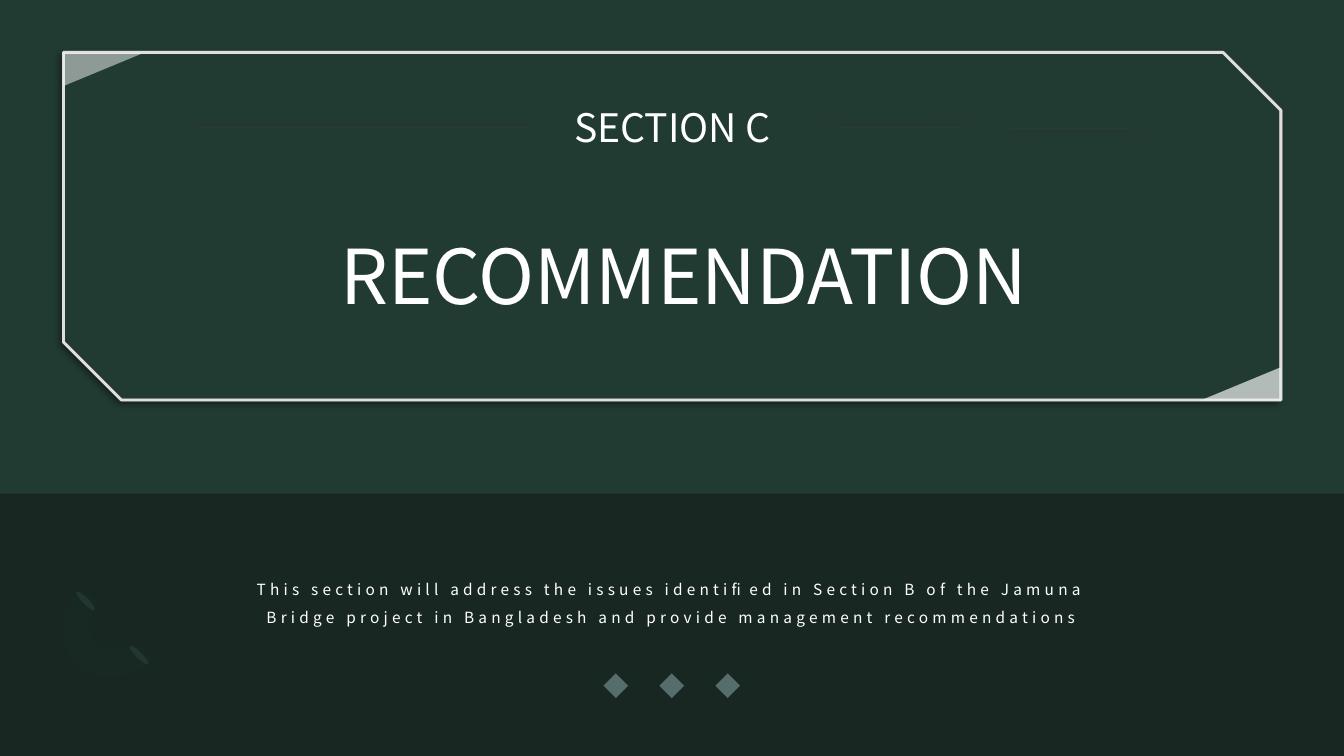
from lxml import etree
from pptx import Presentation
from pptx.dml.color import RGBColor
from pptx.enum.shapes import MSO_CONNECTOR, MSO_SHAPE
from pptx.enum.text import MSO_AUTO_SIZE, PP_ALIGN
from pptx.oxml import parse_xml
from pptx.oxml.ns import nsdecls, qn
from pptx.util import Cm, Pt

GREEN = RGBColor(0x21, 0x3B, 0x32)
LEAF = RGBColor(0x30, 0x56, 0x49)
MINT = RGBColor(0x79, 0xB4, 0xA0)
BLACK = RGBColor(0x0D, 0x0D, 0x0D)
TEAL = RGBColor(0x93, 0xB5, 0xB7)
TAUPE = RGBColor(0xAE, 0xA2, 0xA0)
PALE = RGBColor(0xF2, 0xF2, 0xF2)
OLIVE = RGBColor(0x32, 0x3A, 0x2E)
WHITE = RGBColor(0xFF, 0xFF, 0xFF)

FRAME_BOX = (1.6, 1.32, 30.68, 8.76)
ARC_START = (1.93, 16.74)
# Each step is a curve (three points) or a straight line (one point), in cm
ARC_STEPS = [
    [(1.42, 16.23), (1.47, 15.37), (2.06, 14.78)],
    [(2.51, 15.24)],
    [(2.21, 15.52), (2.18, 15.98), (2.44, 16.21)],
    [(2.69, 16.46), (3.12, 16.43), (3.43, 16.15)],
    [(3.86, 16.61)],
    [(3.3, 17.17), (2.41, 17.25), (1.93, 16.74)],
]
SHADOW = (
    f'<a:effectLst {nsdecls("a")}><a:outerShdw blurRad="50800" dist="38100" '
    'dir="8100000" algn="tr" rotWithShape="0"><a:srgbClr val="000000">'
    '<a:alpha val="40000"/></a:srgbClr></a:outerShdw></a:effectLst>'
)


def bezier(p0, p1, p2, p3, steps=10):
    """Points along a cubic curve, without its start."""
    for i in range(1, steps + 1):
        t = i / steps
        u = 1 - t
        yield tuple(u**3 * a + 3 * u * u * t * b + 3 * u * t * t * c + t**3 * d
                    for a, b, c, d in zip(p0, p1, p2, p3))


class SlideBuilder:
    font = "Noto Sans CJK SC"

    def __init__(self, slide):
        self.s = slide

    def background(self, color):
        fill = self.s.background.fill
        fill.solid()
        fill.fore_color.rgb = color

    def paint(self, fill, color, opacity=100):
        fill.solid()
        fill.fore_color.rgb = color
        if opacity < 100:
            clr = fill._xPr.find(qn("a:solidFill"))[0]
            etree.SubElement(clr, qn("a:alpha"), val=str(opacity * 1000))

    def dress(self, sp, fill=None, line=None, rotation=0):
        """Apply fill and line, each given as (color, opacity) or None."""
        sp.shadow.inherit = False
        sp.rotation = rotation
        if fill:
            self.paint(sp.fill, *fill)
        else:
            sp.fill.background()
        if line:
            sp.line.width = Pt(2)
            self.paint(sp.line.fill, *line)
        else:
            sp.line.fill.background()
        return sp

    def shape(self, kind, box, **style):
        sp = self.s.shapes.add_shape(kind, *(Cm(v) for v in box))
        return self.dress(sp, **style)

    def outline(self, start, steps, **style):
        points = [start]
        for step in steps:
            points += bezier(points[-1], *step) if len(step) == 3 else step
        fb = self.s.shapes.build_freeform(Cm(start[0]), Cm(start[1]))
        fb.add_line_segments([(Cm(x), Cm(y)) for x, y in points[1:]], close=True)
        return self.dress(fb.convert_to_shape(), **style)

    def text(self, box, words, size, spacing=0, line_spacing=None):
        tf = self.s.shapes.add_textbox(*(Cm(v) for v in box)).text_frame
        tf.word_wrap = True
        tf.auto_size = MSO_AUTO_SIZE.SHAPE_TO_FIT_TEXT
        p = tf.paragraphs[0]
        for name, value in {"alignment": PP_ALIGN.CENTER,
                            "line_spacing": line_spacing}.items():
            setattr(p, name, value)
        r = p.add_run()
        r.text = words
        for name, value in {"name": self.font, "size": Pt(size)}.items():
            setattr(r.font, name, value)
        r.font.color.rgb = WHITE
        rPr = r._r.get_or_add_rPr()
        etree.SubElement(rPr, qn("a:ea"), typeface=self.font)
        if spacing:
            rPr.set("spc", str(spacing * 100))

    def rule(self, *ends):
        cx = self.s.shapes.add_connector(MSO_CONNECTOR.STRAIGHT,
                                         *(Cm(v) for v in ends))
        cx.line.width = Pt(0.5)
        cx.line.color.rgb = OLIVE
        etree.SubElement(cx._element.spPr, qn("a:effectLst"))


def main():
    prs = Presentation()
    prs.slide_width, prs.slide_height = Cm(33.87), Cm(19.05)
    b = SlideBuilder(prs.slides.add_slide(prs.slide_layouts[6]))
    b.background(GREEN)

    for x, y in ((3.43, 16.18), (2.08, 14.81)):
        b.shape(MSO_SHAPE.OVAL, (x, y, 0.15, 0.66), fill=(LEAF,), rotation=135)
    b.outline(ARC_START, ARC_STEPS, fill=(MINT, 2))

    b.shape(MSO_SHAPE.RECTANGLE, (0, 12.44, 33.87, 6.61), fill=(BLACK, 43))
    b.text((5.44, 14.27, 22.96, 1.57),
           "This section will address the issues identified in Section B of the "
           "Jamuna Bridge project in Bangladesh and provide management "
           "recommendations", 11, spacing=3, line_spacing=1.5)
    for i in range(3):
        b.shape(MSO_SHAPE.DIAMOND, (15.21 + 1.41 * i, 16.97, 0.62, 0.62),
                fill=(TEAL, 50))

    panel = b.shape(MSO_SHAPE.SNIP_2_DIAG_RECTANGLE, FRAME_BOX,
                    fill=(GREEN,), line=(TAUPE, 85))
    spPr = panel._element.spPr
    spPr.replace(spPr.find(qn("a:effectLst")), parse_xml(SHADOW))
    b.shape(MSO_SHAPE.SNIP_2_DIAG_RECTANGLE, FRAME_BOX, line=(PALE, 80))
    for x, y, turn, opacity in ((30.84, 8.66, 270, 70), (2.18, 0.74, 90, 52)):
        b.shape(MSO_SHAPE.RIGHT_TRIANGLE, (x, y, 0.84, 2.03),
                fill=(PALE, opacity), rotation=turn)

    b.text((12.12, 2.49, 9.65, 1.45), "SECTION C", 28)
    b.text((7.16, 5.64, 20.14, 2.57), "RECOMMENDATION", 54)
    b.rule(20.52, 3.2, 28.96, 3.25)
    b.rule(13.39, 3.2, 4.93, 3.2)
    prs.save("out.pptx")


if __name__ == "__main__":
    main()
